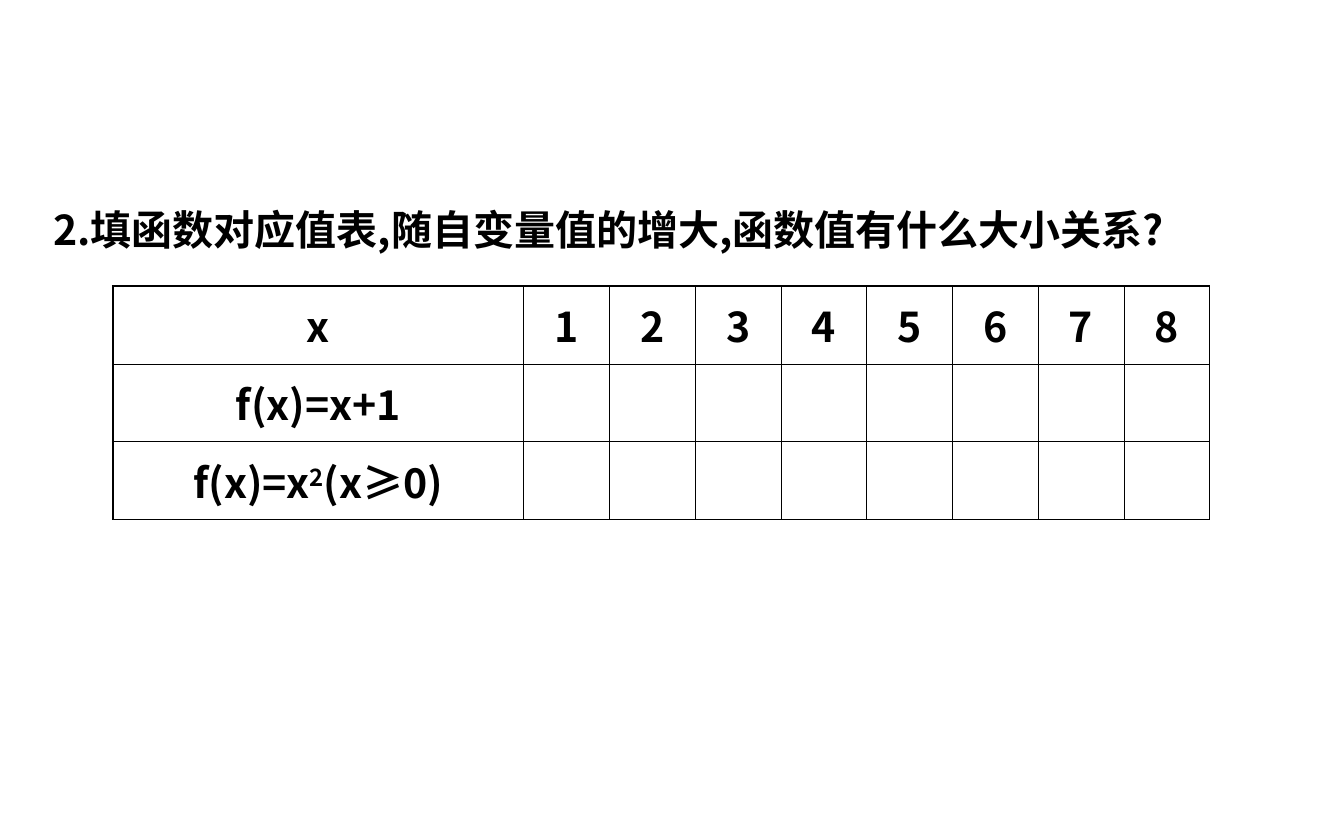
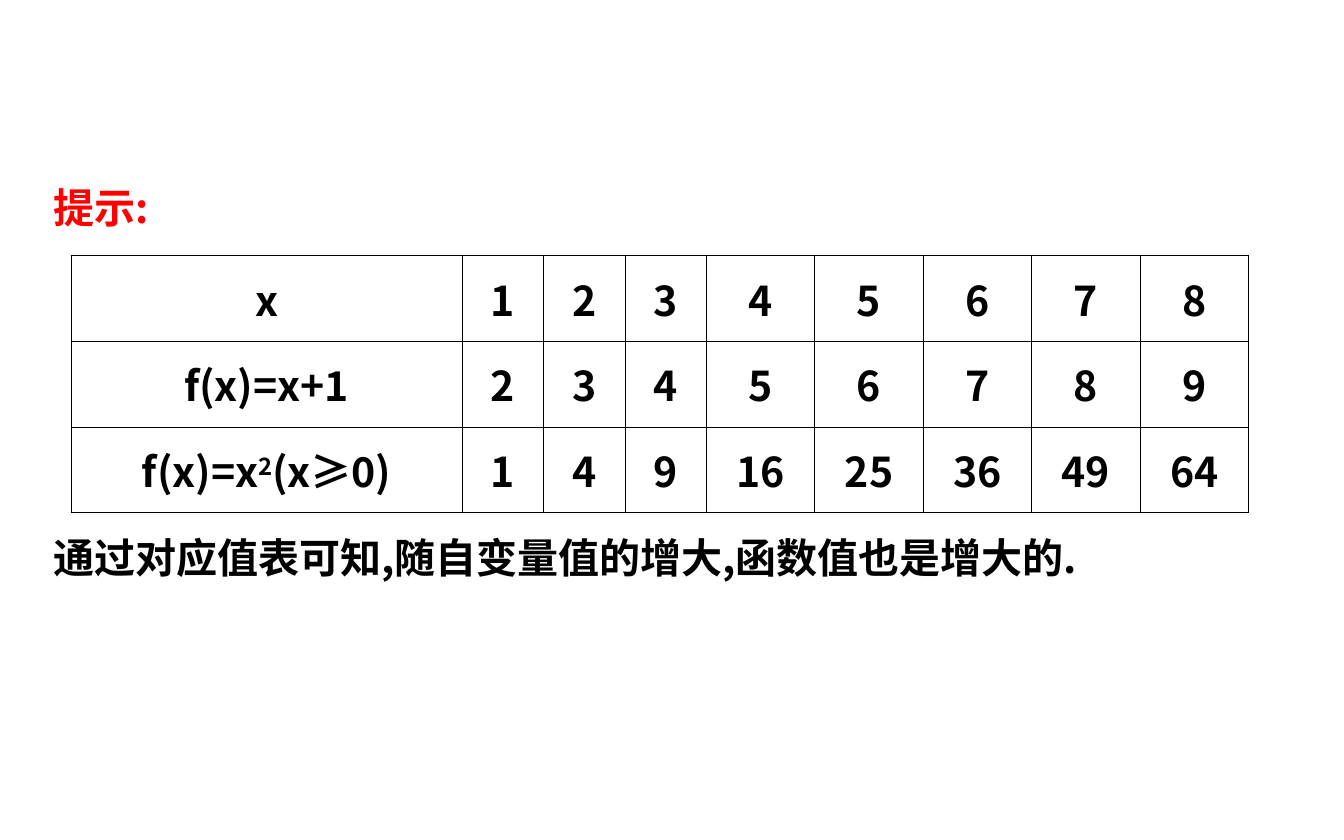
from lxml import etree
from pptx import Presentation
from pptx.dml.color import RGBColor
from pptx.enum.text import MSO_ANCHOR, MSO_AUTO_SIZE, PP_ALIGN
from pptx.oxml.ns import qn
from pptx.util import Cm, Pt

CENTER = PP_ALIGN.CENTER
MIDDLE = MSO_ANCHOR.MIDDLE
GROW_TO_TEXT = MSO_AUTO_SIZE.SHAPE_TO_FIT_TEXT

FONT = "Noto Sans CJK SC"
FONT_SIZE = Pt(22)
LINE_SPACING = 1.8
BLACK = "000000"
RED = "FF0000"
OUTER_BORDER = Pt(1.08)
INNER_BORDER = Pt(0.45)

TEXT_LEFT, TEXT_WIDTH = 0.76, 23.95
X_VALUES = range(1, 9)
LINEAR_LABEL = [("f(x)=x+1", False)]
SQUARE_LABEL = [("f(x)=x", False), ("2", True), ("(x≥0)", False)]


def rgb(color):
    return RGBColor.from_string(color)


def format_run(run, color=BLACK, superscript=False):
    run.font.size = FONT_SIZE
    run.font.bold = True
    run.font.name = FONT
    run.font.color.rgb = rgb(color)
    properties = run.font._element
    etree.SubElement(properties, qn("a:ea"), typeface=FONT)
    if superscript:
        properties.set("baseline", "30000")


def add_text(slide, top, height, lines, gap=0):
    """Add (text, color) lines as paragraphs, gap points apart."""
    box = slide.shapes.add_textbox(Cm(TEXT_LEFT), Cm(top), Cm(TEXT_WIDTH), Cm(height))
    frame = box.text_frame
    frame.word_wrap = True
    frame.auto_size = GROW_TO_TEXT
    frame.text = "\n".join(text for text, _ in lines)
    for index, (paragraph, (_, color)) in enumerate(zip(frame.paragraphs, lines)):
        paragraph.line_spacing = LINE_SPACING
        if index:
            paragraph.space_before = Pt(gap)
        format_run(paragraph.runs[0], color)


def set_borders(cell, outer_sides):
    properties = cell._tc.get_or_add_tcPr()
    for side in "LRTB":
        width = OUTER_BORDER if side in outer_sides else INNER_BORDER
        line = etree.SubElement(properties, qn(f"a:ln{side}"), w=str(int(width)))
        fill = etree.SubElement(line, qn("a:solidFill"))
        etree.SubElement(fill, qn("a:srgbClr"), val=BLACK)


def fill_cell(cell, parts):
    """Write (text, superscript) parts into a centred cell."""
    cell.vertical_anchor = MIDDLE
    paragraph = cell.text_frame.paragraphs[0]
    paragraph.alignment = CENTER
    for text, superscript in parts:
        run = paragraph.add_run()
        run.text = text
        format_run(run, superscript=superscript)


def value_rows(with_answers):
    """Return the rows of the function table, each cell a list of parts."""
    def numbers(values):
        return [[(str(value), False)] for value in values]

    blanks = [[] for _ in X_VALUES]
    return [
        [[("x", False)]] + numbers(X_VALUES),
        [LINEAR_LABEL] + (numbers(x + 1 for x in X_VALUES) if with_answers else blanks),
        [SQUARE_LABEL] + (numbers(x * x for x in X_VALUES) if with_answers else blanks),
    ]


def add_function_table(slide, left, top, column_widths, row_height, rows):
    row_count, column_count = len(rows), len(column_widths)
    table = slide.shapes.add_table(
        row_count, column_count, Cm(left), Cm(top),
        Cm(sum(column_widths)), Cm(row_height * row_count)).table
    table.first_row = False
    table.horz_banding = False
    for column, width in zip(table.columns, column_widths):
        column.width = Cm(width)
    for row_index, row in enumerate(rows):
        table.rows[row_index].height = Cm(row_height)
        for column_index, parts in enumerate(row):
            cell = table.cell(row_index, column_index)
            edges = {"L": column_index == 0, "R": column_index == column_count - 1,
                     "T": row_index == 0, "B": row_index == row_count - 1}
            set_borders(cell, [side for side, is_outer in edges.items() if is_outer])
            cell.fill.background()
            fill_cell(cell, parts)


def build_question(slide):
    add_text(slide, 3, 1.93,
             [("2.填函数对应值表,随自变量值的增大,函数值有什么大小关系?", BLACK)])
    add_function_table(slide, 2.13, 5.41, [7.77] + [1.62] * 8, 1.47,
                       value_rows(with_answers=False))


def build_answer(slide):
    add_text(slide, 2.59, 8.64,
             [("提示:", RED),
              ("通过对应值表可知,随自变量值的增大,函数值也是增大的.", BLACK)],
             gap=140)
    add_function_table(slide, 1.35, 4.83, [7.38] + [1.54] * 3 + [2.05] * 5, 1.62,
                       value_rows(with_answers=True))


def main():
    presentation = Presentation()
    presentation.slide_width = Cm(25.4)
    presentation.slide_height = Cm(15.88)
    blank_layout = presentation.slide_layouts[6]
    for build in (build_question, build_answer):
        build(presentation.slides.add_slide(blank_layout))
    presentation.save("out.pptx")


if __name__ == "__main__":
    main()
